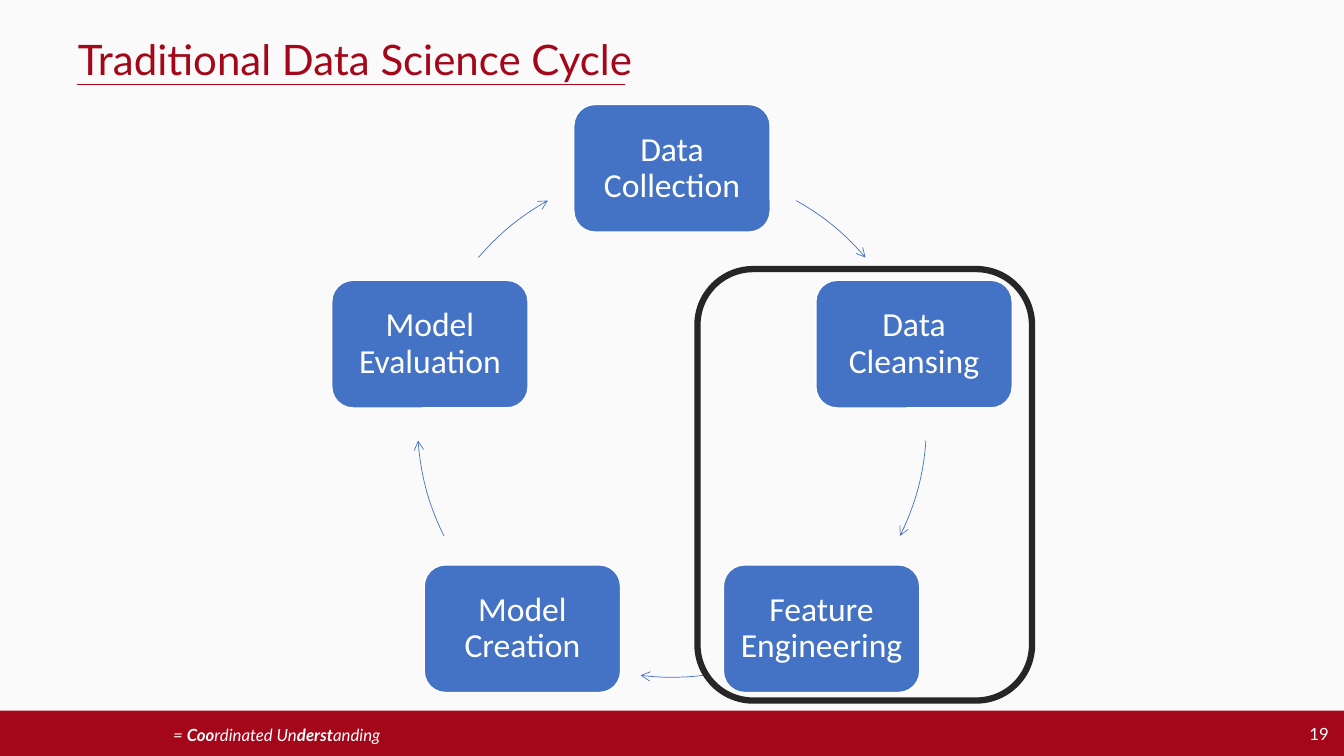
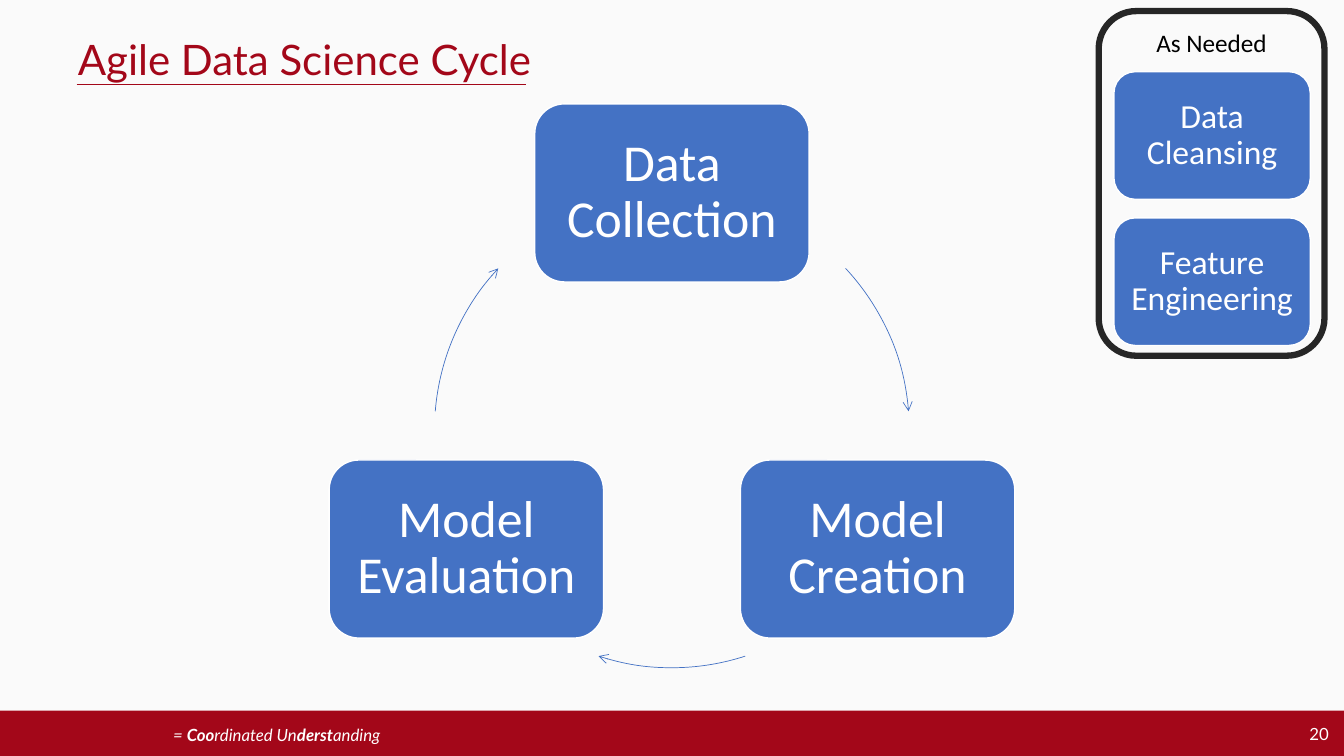
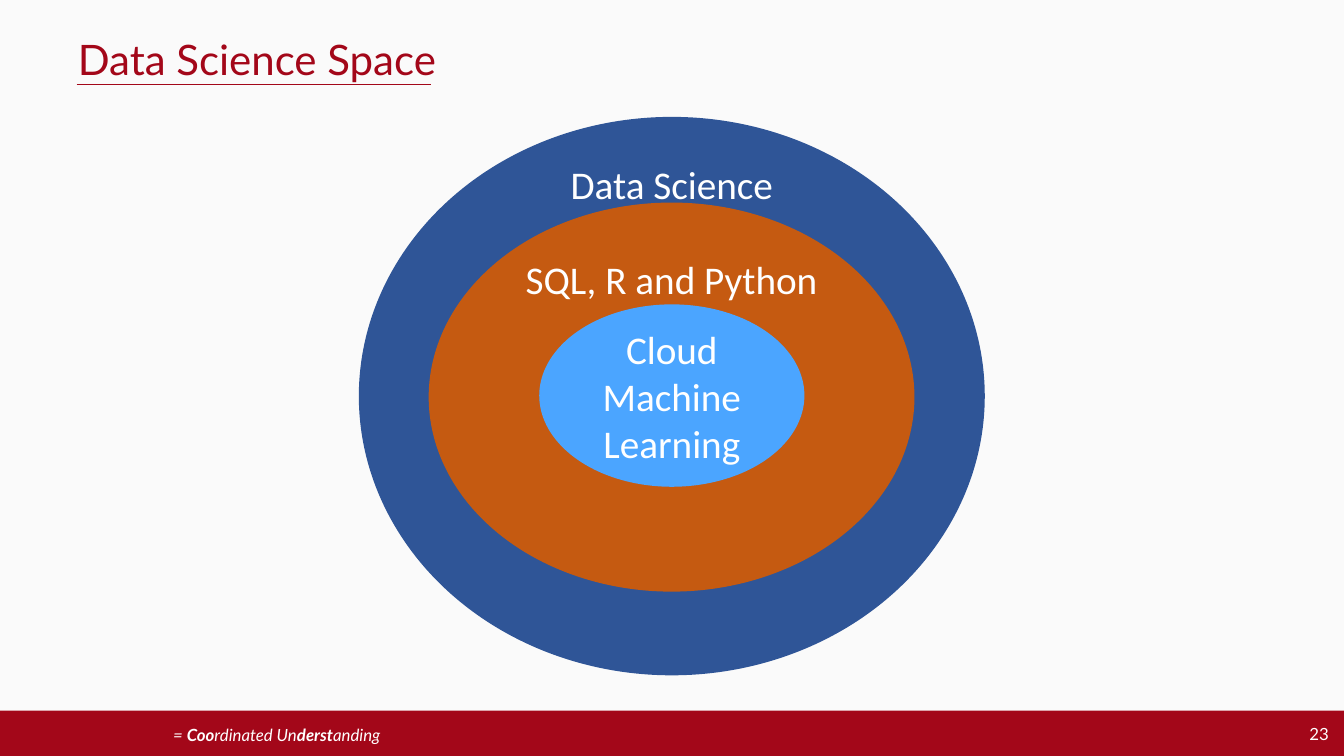
import math

import pptx
import pptx.util
from lxml import etree
from pptx.dml.color import RGBColor
from pptx.enum.shapes import MSO_CONNECTOR, MSO_SHAPE
from pptx.enum.text import MSO_ANCHOR, MSO_AUTO_SIZE, PP_ALIGN
from pptx.oxml.ns import qn

Pt = pptx.util.Pt

# Shared look
COLORS = {
    "page": "FAFAFA", "brand": "A30719", "white": "FFFFFF", "black": "000000",
    "node": "4472C4", "frame": "262626",
    "outer": "2F5597", "middle": "C55A11", "inner": "4BA5FF",
}
HEAD_FONT, BODY_FONT = "Lato", "Calibri"
WIDTH, HEIGHT = 960, 540
BAND_TOP = 507.6
TAGLINE = [("= ", False), ("Coo", True), ("rdinated Un", False),
           ("derst", True), ("anding", False)]

# Content: angles run clockwise in degrees from the top of the ring
SMALL_NODE = {"size": (140.3, 91.2), "font": 24, "inset": 7.2}
LARGE_NODE = {"size": (196, 127.2), "font": 37, "inset": 10.8}

TRADITIONAL = {
    "title": "Traditional Data Science Cycle", "number": 19, "rule_end": 446.4,
    "steps": ["Data Collection", "Data Cleansing", "Feature Engineering",
              "Model Creation", "Model Evaluation"],
    "arrows": [(29.2, 49.5), (94, 116.4), (172.9, 187.1),
               (243.6, 266), (310.5, 330.8)],
    "center": (480, 302), "radius": 181.8, "style": SMALL_NODE,
}
TRADITIONAL_FRAME = (498.2, 192.2, 239, 308.2)

AGILE = {
    "title": "Agile Data Science Cycle", "number": 20, "rule_end": 375.8,
    "steps": ["Data Collection", "Model Creation", "Model Evaluation"],
    "arrows": [(47, 85.4), (162, 198), (274.6, 313)],
    "center": (480, 307.4), "radius": 169.6, "style": LARGE_NODE,
}
AGILE_FRAME = (784.8, 7.9, 161.3, 246.2)
AS_NEEDED = ["Data Cleansing", "Feature Engineering"]
AS_NEEDED_CENTER = (865.8, 96.8)
AS_NEEDED_STEP = 104.4

SPACE = {"title": "Data Science Space", "number": 23, "rule_end": 308.2}
# label, colour, box, top of the label (None: centred in the ellipse)
ELLIPSES = [
    ("Data Science", "outer", (256.3, 83.5, 447.1, 398.9), 114.5),
    ("SQL, R and Python", "middle", (306.2, 144.7, 347, 277.9), 182.5),
    ("Cloud Machine Learning", "inner", (385.2, 217.4, 189.4, 130.3), None),
]


def color(name):
    return RGBColor.from_string(COLORS[name])


def style_text(shape, size, ink, font=BODY_FONT, align=PP_ALIGN.CENTER,
               anchor=MSO_ANCHOR.MIDDLE, spacing=None):
    frame = shape.text_frame
    frame.word_wrap = True
    frame.vertical_anchor = anchor
    for para in frame.paragraphs:
        para.alignment = align
        para.line_spacing = spacing
        for span in para.runs:
            span.font.name = font
            span.font.size = Pt(size)
            span.font.color.rgb = color(ink)


def add_shape(page, kind, box, fill=None, line=None, weight=1):
    shape = page.shapes.add_shape(kind, *map(Pt, box))
    shape.shadow.inherit = False
    if fill:
        shape.fill.solid()
        shape.fill.fore_color.rgb = color(fill)
    else:
        shape.fill.background()
    if line:
        shape.line.color.rgb = color(line)
        shape.line.width = Pt(weight)
    else:
        shape.line.fill.background()
    return shape


def add_label(page, box, text, **style):
    label = page.shapes.add_textbox(*map(Pt, box))
    label.text_frame.text = text
    style_text(label, **style)
    return label


# Parts that every slide shows
def build_footer(page, layout):
    """Draw the band and tagline, then move them to the layout."""
    band = add_shape(page, MSO_SHAPE.RECTANGLE,
                     (0, BAND_TOP, WIDTH, HEIGHT - BAND_TOP), fill="brand")
    tagline = page.shapes.add_textbox(Pt(116.6), Pt(514.1), Pt(162.7), Pt(21.6))
    para = tagline.text_frame.paragraphs[0]
    for text, bold in TAGLINE:
        span = para.add_run()
        span.text = text
        span.font.bold = bold
        span.font.italic = True
    style_text(tagline, 12, "white", HEAD_FONT, PP_ALIGN.LEFT, MSO_ANCHOR.TOP)
    tagline.text_frame.word_wrap = False
    for number, part in enumerate((band, tagline), start=101):
        part.element.nvSpPr.cNvPr.set("id", str(number))
        layout.shapes.element.append(part.element)


def add_page(deck, layout, content):
    page = deck.slides.add_slide(layout)
    title = page.shapes.title
    title.text_frame.text = content["title"]
    title.text_frame.auto_size = MSO_AUTO_SIZE.NONE
    style_text(title, 30, "brand", HEAD_FONT, PP_ALIGN.LEFT, MSO_ANCHOR.TOP, 0.9)
    rule = page.shapes.add_connector(MSO_CONNECTOR.STRAIGHT, Pt(54.7), Pt(60.5),
                                     Pt(content["rule_end"]), Pt(60.5))
    rule.line.color.rgb = color("brand")
    rule.line.width = Pt(0.5)
    etree.SubElement(rule.element.spPr, qn("a:effectLst"))
    add_label(page, (878.4, 509.8, 77.8, 28.8), str(content["number"]),
              size=12, ink="white", font=HEAD_FONT, align=PP_ALIGN.RIGHT)
    return page


# Cycle parts
def add_node(page, text, center, style):
    width, height = style["size"]
    box = (center[0] - width / 2, center[1] - height / 2, width, height)
    node = add_shape(page, MSO_SHAPE.ROUNDED_RECTANGLE, box, "node", "white")
    frame = node.text_frame
    frame.text = text
    frame.margin_left = frame.margin_right = Pt(style["inset"])
    frame.margin_top = frame.margin_bottom = Pt(style["inset"])
    style_text(node, style["font"], "white", spacing=0.9)


def add_arc_arrow(page, center, radius, angles):
    box = (center[0] - radius, center[1] - radius, 2 * radius, 2 * radius)
    arc = add_shape(page, MSO_SHAPE.ARC, box, line="node", weight=0.5)
    for index, angle in enumerate(angles):
        # Arc angles start at three o'clock, in units of 0.6 per degree
        arc.adjustments[index] = (angle - 90) % 360 * 0.6
    outline = arc.element.spPr.find(qn("a:ln"))
    etree.SubElement(outline, qn("a:tailEnd"), type="arrow")


def add_cycle(page, cycle):
    (x, y), radius = cycle["center"], cycle["radius"]
    steps = cycle["steps"]
    for index, (step, angles) in enumerate(zip(steps, cycle["arrows"])):
        turn = 2 * math.pi * index / len(steps)
        center = (x + radius * math.sin(turn), y - radius * math.cos(turn))
        add_node(page, step, center, cycle["style"])
        add_arc_arrow(page, cycle["center"], radius, angles)


def add_frame(page, box):
    return add_shape(page, MSO_SHAPE.ROUNDED_RECTANGLE, box,
                     line="frame", weight=4.5)


def main():
    deck = pptx.Presentation()
    deck.slide_width, deck.slide_height = Pt(WIDTH), Pt(HEIGHT)
    background = deck.slide_master.background.fill
    background.solid()
    background.fore_color.rgb = color("page")
    layout = deck.slide_layouts.get_by_name("Title Only")
    heading = layout.placeholders[0]
    heading.left, heading.top = Pt(48.4), Pt(24.5)
    heading.width, heading.height = Pt(828), Pt(36)

    # Traditional cycle
    page = add_page(deck, layout, TRADITIONAL)
    build_footer(page, layout)
    add_cycle(page, TRADITIONAL)
    add_frame(page, TRADITIONAL_FRAME)

    # Agile cycle with the optional steps set aside
    page = add_page(deck, layout, AGILE)
    add_cycle(page, AGILE)
    frame = add_frame(page, AGILE_FRAME)
    frame.text_frame.text = "As Needed"
    style_text(frame, 18, "black", anchor=MSO_ANCHOR.TOP)
    x, y = AS_NEEDED_CENTER
    for index, step in enumerate(AS_NEEDED):
        add_node(page, step, (x, y + index * AS_NEEDED_STEP), SMALL_NODE)

    # Nested ellipses
    page = add_page(deck, layout, SPACE)
    for text, fill, box, label_top in ELLIPSES:
        ellipse = add_shape(page, MSO_SHAPE.OVAL, box, fill)
        if label_top is None:
            ellipse.text_frame.text = text
            style_text(ellipse, 28, "white")
        else:
            left, _, width, _ = box
            label = add_label(page, (left, label_top, width, 34), text,
                              size=28, ink="white", anchor=MSO_ANCHOR.TOP)
            label.text_frame.margin_top = label.text_frame.margin_bottom = 0

    deck.save("out.pptx")


if __name__ == "__main__":
    main()
